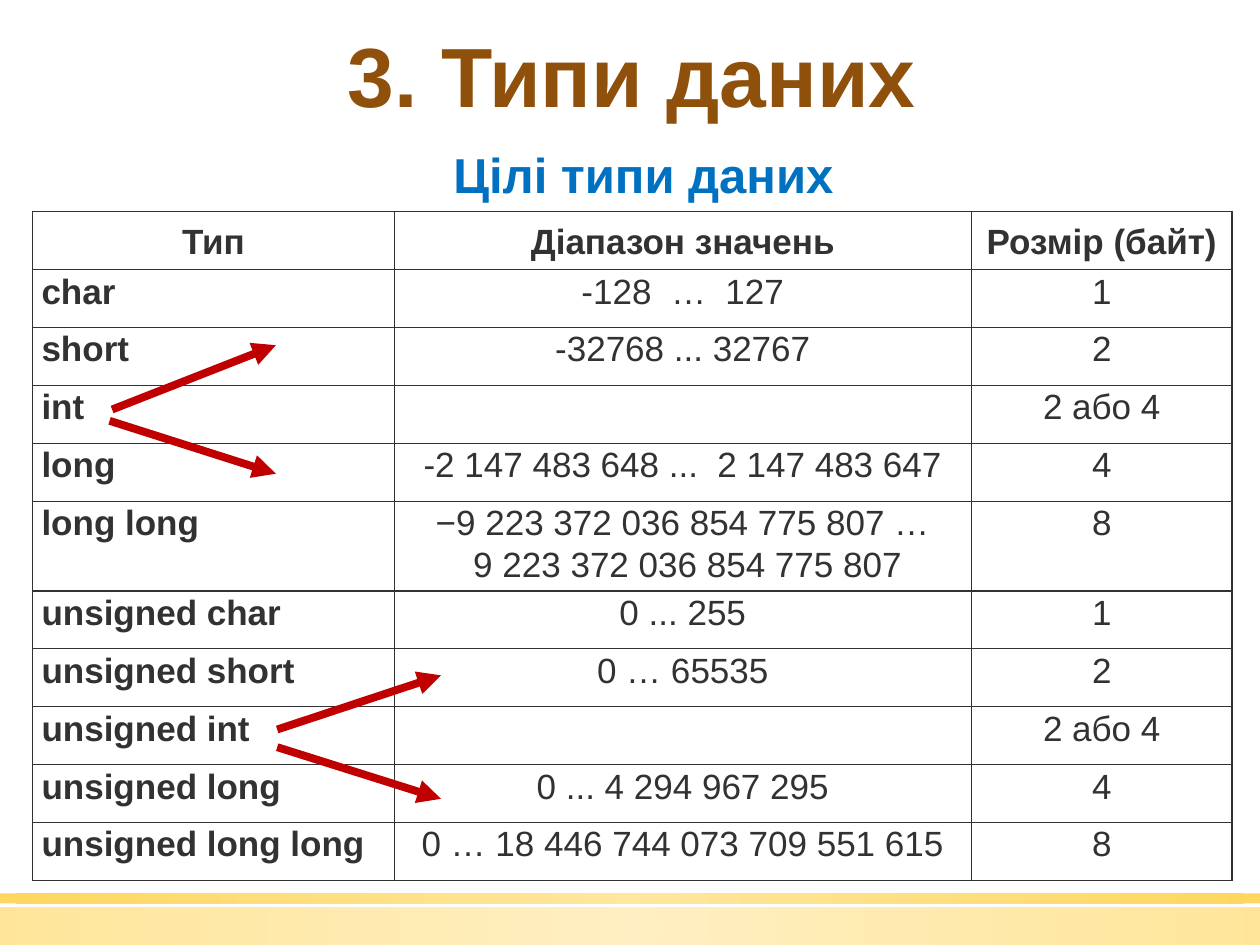
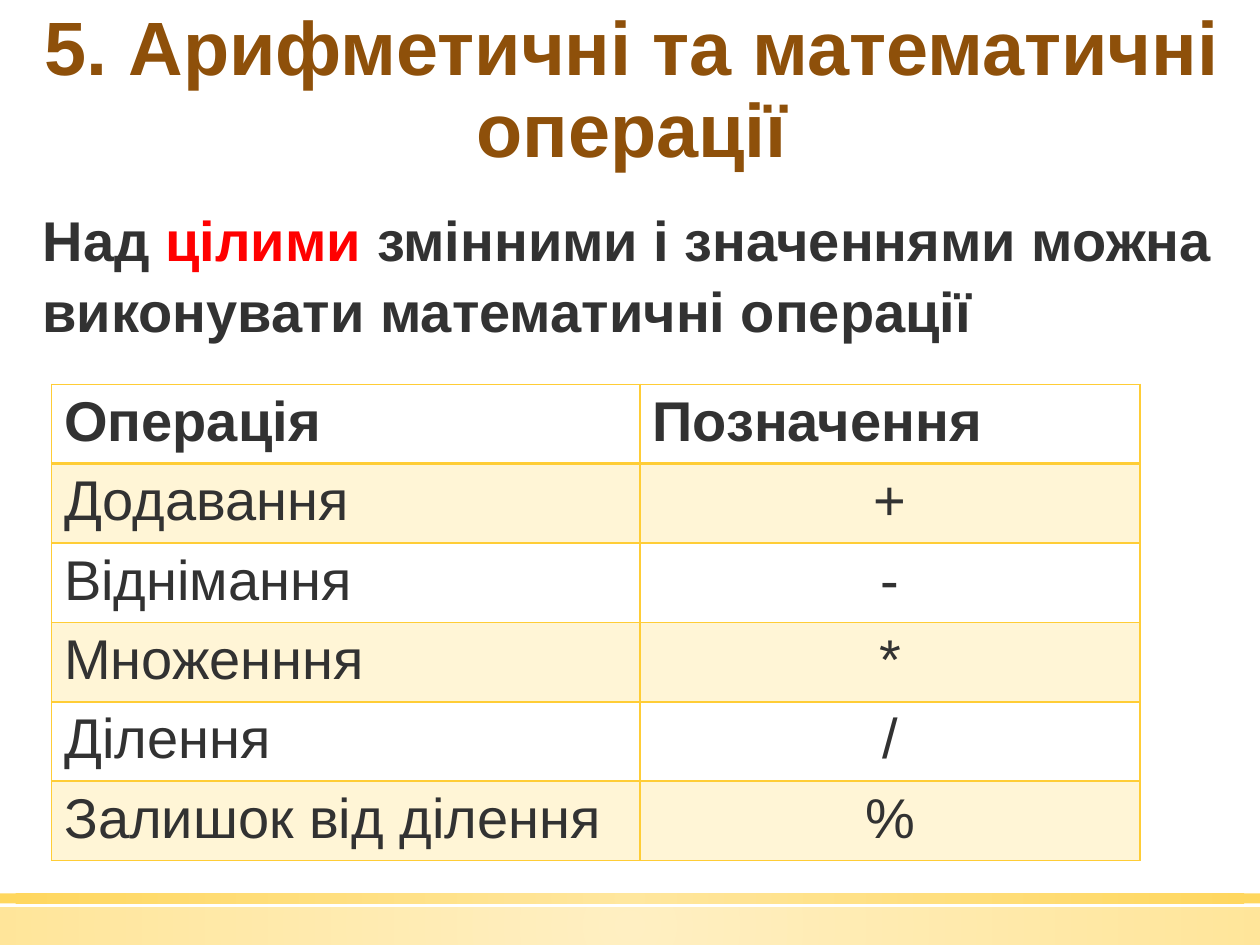
import pptx
import pptx.dml.color
import pptx.enum.shapes
import pptx.enum.text
import pptx.oxml
import pptx.oxml.ns
import pptx.util

RGB = pptx.dml.color.RGBColor
ALIGN = pptx.enum.text.PP_ALIGN
ANCHOR = pptx.enum.text.MSO_ANCHOR
Pt = pptx.util.Pt
qn = pptx.oxml.ns.qn

PX = 9144  # 100 px to the inch
FONT = "Arial"
BROWN = RGB(0x8E, 0x50, 0x0A)
DARK = RGB(0x32, 0x32, 0x32)
BLUE = RGB(0x00, 0x70, 0xC0)
RED = RGB(0xFF, 0x00, 0x00)
CRIMSON = RGB(0xC0, 0x00, 0x00)
GOLD = RGB(0xFF, 0xCD, 0x36)
PALE = RGB(0xFF, 0xE1, 0x86)

TYPES = [
    ("Тип", "Діапазон значень", "Розмір (байт)"),
    ("char", "-128  …  127", "1"),
    ("short", "-32768 ... 32767", "2"),
    ("int", "", "2 або 4"),
    ("long", "-2 147 483 648 ...  2 147 483 647", "4"),
    ("long long", "−9 223 372 036 854 775 807 …\n 9 223 372 036 854 775 807", "8"),
    ("unsigned char", "0 ... 255", "1"),
    ("unsigned short", "0 … 65535", "2"),
    ("unsigned int", "", "2 або 4"),
    ("unsigned long", "0 ... 4 294 967 295", "4"),
    ("unsigned long long", "0 … 18 446 744 073 709 551 615", "8"),
]
ARROWS = [
    (89, 325, 219, 274),
    (220, 579, 350, 536),
    (87, 334, 219, 376),
    (220, 593, 350, 634),
]
SIGNS = [
    ("Операція", "Позначення"),
    ("Додавання", "+"),
    ("Віднімання", "-"),
    ("Множенння", "*"),
    ("Ділення", "/"),
    ("Залишок від ділення", "%"),
]


def px(*nums):
    return [pptx.util.Emu(n * PX) for n in nums]


def add_xml(node, text):
    """Append a drawing element, given without its namespace."""
    head, rest = text.split(" ", 1)
    node.append(pptx.oxml.parse_xml(f"{head} {pptx.oxml.ns.nsdecls('a')} {rest}"))


def style(run, size, color, bold=True):
    font = run.font
    font.name, font.size, font.bold = FONT, Pt(size), bold
    font.color.rgb = color


def add_band(slide, top, height, alpha):
    """Draw a full-width strip that fades from its centre outwards."""
    kind = pptx.enum.shapes.MSO_SHAPE.RECTANGLE
    band = slide.shapes.add_shape(kind, *px(0, top, 1000, height))
    band.shadow.inherit = False
    band.line.fill.background()
    band.fill.gradient()
    grad = band._element.spPr.find(qn("a:gradFill"))
    for part in list(grad):
        grad.remove(part)
    stops = "".join(
        f'<a:gs pos="{pos}"><a:srgbClr val="{color}">'
        f'<a:alpha val="{alpha * 1000}"/></a:srgbClr></a:gs>'
        for pos, color in ((0, PALE), (100000, GOLD))
    )
    add_xml(grad, f"<a:gsLst >{stops}</a:gsLst>")
    add_xml(grad, '<a:path path="circle"><a:fillToRect l="50000" t="50000" '
                  'r="50000" b="50000"/></a:path>')


def add_page(deck, text, top, size):
    """Add a slide with the shared bands and a shadowed title."""
    slide = deck.slides.add_slide(deck.slide_layouts[5])
    add_band(slide, 720, 30, 50)
    add_band(slide, 709, 8, 80)
    title = slide.shapes.title
    title.left, title.top, title.width, title.height = px(3, top, 997, 102)
    frame = title.text_frame
    frame.text = text
    frame.word_wrap = True
    frame.auto_size = pptx.enum.text.MSO_AUTO_SIZE.NONE
    frame.vertical_anchor = ANCHOR.MIDDLE
    para = frame.paragraphs[0]
    para.alignment, para.line_spacing = ALIGN.CENTER, 0.9
    run = para.runs[0]
    style(run, size, BROWN)
    props = run._r.get_or_add_rPr()
    shadow = pptx.oxml.parse_xml(
        f'<a:effectLst {pptx.oxml.ns.nsdecls("a")}>'
        '<a:outerShdw blurRad="38100" dist="38100" dir="2700000">'
        '<a:srgbClr val="000000"><a:alpha val="43000"/></a:srgbClr>'
        '</a:outerShdw></a:effectLst>')
    props.find(qn("a:solidFill")).addnext(shadow)
    return slide


def add_text(slide, box, parts, size, wrap):
    """Add one paragraph made of (text, colour) parts."""
    frame = slide.shapes.add_textbox(*px(*box)).text_frame
    frame.word_wrap = wrap
    para = frame.paragraphs[0]
    for text, color in parts:
        run = para.add_run()
        run.text = text
        style(run, size, color)
    return para


def add_arrow(slide, ends):
    kind = pptx.enum.shapes.MSO_CONNECTOR.STRAIGHT
    arrow = slide.shapes.add_connector(kind, *px(*ends))
    arrow.line.color.rgb = CRIMSON
    arrow.line.width = Pt(4.5)
    props = arrow._element.spPr
    add_xml(props.find(qn("a:ln")), '<a:tailEnd type="triangle"/>')
    add_xml(props, "<a:effectLst />")


def add_edge(cell, side, color, width):
    add_xml(cell._tc.get_or_add_tcPr(),
            f'<a:ln{side} w="{Pt(width)}"><a:solidFill><a:srgbClr val="{color}"/>'
            f"</a:solidFill></a:ln{side}>")


def add_grid(slide, left, top, cols, rows, data, color, rule=1):
    """Add an unfilled ruled table; rule is the width of the line under its head."""
    frame = slide.shapes.add_table(
        len(rows), len(cols), *px(left, top, sum(cols), sum(rows)))
    grid = frame.table
    grid.first_row = grid.horz_banding = False
    for col, width in zip(grid.columns, cols):
        col.width = width * PX
    for row, height in zip(grid.rows, rows):
        row.height = height * PX
    for r, texts in enumerate(data):
        for c, text in enumerate(texts):
            cell = grid.cell(r, c)
            cell.text_frame.paragraphs[0].text = text
            for side in "LRTB":
                under = (r, side) in ((0, "B"), (1, "T"))
                add_edge(cell, side, color, rule if under else 1)
            cell.fill.background()
    return grid


def walk(grid):
    """Yield row, column, cell and paragraph for every cell."""
    for r, row in enumerate(grid.rows):
        for c, cell in enumerate(row.cells):
            yield r, c, cell, cell.text_frame.paragraphs[0]


def fill_types(deck):
    slide = add_page(deck, "3. Типи даних", 13, 48)
    rows = [71 if "\n" in texts[1] else 46 for texts in TYPES]
    grid = add_grid(slide, 26, 168, (287, 458, 207), rows, TYPES, DARK)
    for r, c, cell, para in walk(grid):
        cell.margin_left = cell.margin_right = 7 * PX
        cell.margin_top = cell.margin_bottom = 0
        if r == 0:
            cell.vertical_anchor = ANCHOR.MIDDLE
        para.alignment = ALIGN.CENTER if r == 0 or c else ALIGN.LEFT
        para.line_spacing = 1.07
        para.space_before = para.space_after = Pt(3)
        for run in para.runs:
            style(run, 20, DARK, r == 0 or c == 0)
    add_text(slide, (350, 110, 325, 57), [("Цілі типи даних", BLUE)], 28, False)
    for ends in ARROWS:
        add_arrow(slide, ends)


def fill_signs(deck):
    slide = add_page(deck, "5. Арифметичні та математичні операції", 22, 43.2)
    rows = [63.4] * len(SIGNS)
    rows = [int(n) for n in rows]
    grid = add_grid(slide, 41, 305, (467, 397), rows, SIGNS, GOLD, 2)
    for r, c, cell, para in walk(grid):
        para.alignment = ALIGN.CENTER if r and c else ALIGN.LEFT
        style(para.runs[0], 32, DARK, r == 0)
        if r % 2:
            cell.fill.solid()
            cell.fill.fore_color.rgb = GOLD
            tint = cell._tc.tcPr.find(qn("a:solidFill"))
            add_xml(tint[0], '<a:alpha val="20000"/>')
    parts = [
        ("Над ", DARK),
        ("цілими", RED),
        (" змінними і значеннями можна виконувати математичні операції", DARK),
    ]
    para = add_text(slide, (19, 155, 1000, 118), parts, 32, True)
    para.line_spacing = 1.06
    para._p.get_or_add_pPr().set("marL", str(5 * PX))


def main():
    deck = pptx.Presentation()
    deck.slide_width, deck.slide_height = px(1000, 750)
    fill_types(deck)
    fill_signs(deck)
    deck.save("out.pptx")


if __name__ == "__main__":
    main()
